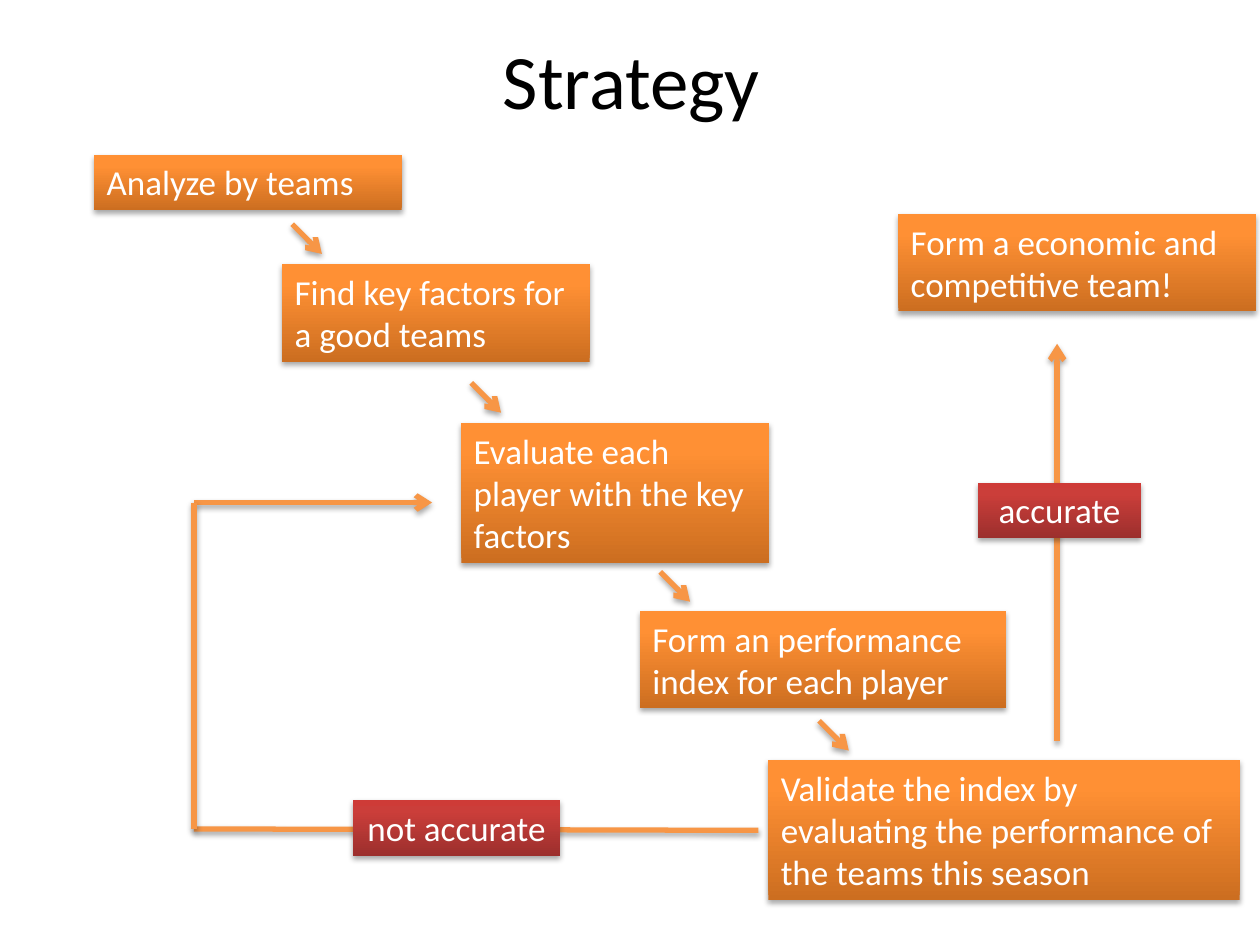
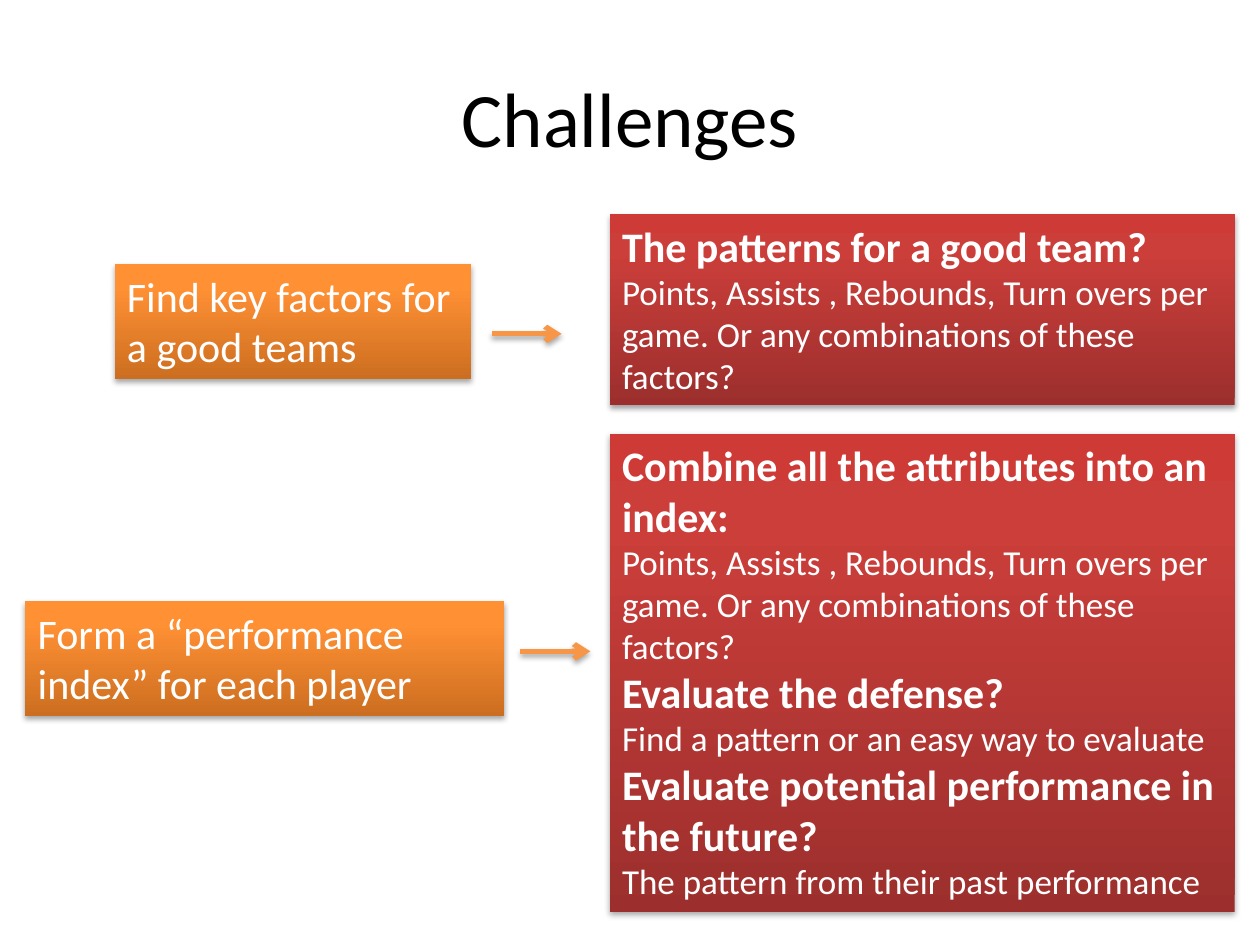
"""Build the two flow slides on strategy and challenges."""
from copy import deepcopy

from lxml import etree
from pptx import Presentation
from pptx.dml.color import RGBColor
from pptx.enum.shapes import MSO_CONNECTOR, MSO_SHAPE
from pptx.enum.text import MSO_ANCHOR, MSO_AUTO_SIZE, PP_ALIGN
from pptx.oxml.ns import qn
from pptx.util import Cm, Pt

RECTANGLE = MSO_SHAPE.RECTANGLE
STRAIGHT = MSO_CONNECTOR.STRAIGHT
TOP, MIDDLE = MSO_ANCHOR.TOP, MSO_ANCHOR.MIDDLE
FIT_SHAPE = MSO_AUTO_SIZE.SHAPE_TO_FIT_TEXT
LEFT, CENTER = PP_ALIGN.LEFT, PP_ALIGN.CENTER

FONT = "Calibri"
BLACK, WHITE, LINE = "000000", "FFFFFF", "F79646"
ORANGE = ("CC6E20", "FF9034", "FF9136")
RED = ("9C2F2D", "CB3E3A", "CE3B37")
STOP_POSITIONS = (0, 0.8, 1)
TITLE_ONLY = 5
SMALL, LARGE = 20, 24
ONE_LINE, TWO_LINES, THREE_LINES = 1.12, 1.96, 2.82


def color(value):
    return RGBColor.from_string(value)


class Deck:
    def __init__(self):
        self.presentation = Presentation()
        self.presentation.slide_width = Cm(25.4)
        self.presentation.slide_height = Cm(19.05)
        self.slide = None

    def add_slide(self, title, left, top):
        layout = self.presentation.slide_layouts[TITLE_ONLY]
        self.slide = self.presentation.slides.add_slide(layout)
        shape = self.slide.shapes.title
        shape.left, shape.top = Cm(left), Cm(top)
        shape.width, shape.height = Cm(22.86), Cm(3.18)
        shape.text_frame.vertical_anchor = MIDDLE
        self.set_text(shape.text_frame.paragraphs[0], title, 44, BLACK, CENTER)

    def set_text(self, paragraph, text, size, text_color=WHITE, alignment=LEFT, bold=False):
        paragraph.text = text
        paragraph.alignment = alignment
        font = paragraph.font
        font.name, font.size, font.bold = FONT, Pt(size), bold
        font.color.rgb = color(text_color)

    def add_shadow(self, shape):
        effects = etree.SubElement(shape._element.spPr, qn("a:effectLst"))
        shadow = etree.SubElement(effects, qn("a:outerShdw"), blurRad="40000",
                                  dist="23000", dir="5400000", rotWithShape="0")
        shade = etree.SubElement(shadow, qn("a:srgbClr"), val=BLACK)
        etree.SubElement(shade, qn("a:alpha"), val="35000")

    def fill_gradient(self, shape, colors):
        shape.fill.gradient()
        shape.fill.gradient_angle = 90
        stop_list = shape._element.spPr.find(".//" + qn("a:gsLst"))
        stop_list.append(deepcopy(stop_list[-1]))
        for stop, position, value in zip(shape.fill.gradient_stops, STOP_POSITIONS, colors):
            stop.position = position
            stop.color.rgb = color(value)

    def add_box(self, left, top, width, height, lines, colors=ORANGE, alignment=LEFT):
        shape = self.slide.shapes.add_shape(RECTANGLE, Cm(left), Cm(top), Cm(width), Cm(height))
        self.fill_gradient(shape, colors)
        shape.line.fill.background()
        self.add_shadow(shape)
        frame = shape.text_frame
        frame.word_wrap = True
        frame.auto_size = FIT_SHAPE
        frame.vertical_anchor = TOP
        for index, (text, size, bold) in enumerate(lines):
            paragraph = frame.add_paragraph() if index else frame.paragraphs[0]
            self.set_text(paragraph, text, size, alignment=alignment, bold=bold)

    def add_line(self, start_x, start_y, end_x, end_y, arrow=True):
        connector = self.slide.shapes.add_connector(
            STRAIGHT, Cm(start_x), Cm(start_y), Cm(end_x), Cm(end_y))
        connector.line.color.rgb = color(LINE)
        connector.line.width = Pt(3)
        if arrow:
            outline = connector._element.spPr.find(qn("a:ln"))
            etree.SubElement(outline, qn("a:tailEnd"), type="arrow")
        self.add_shadow(connector)


def build_strategy(deck):
    deck.add_slide("Strategy", 1.3, 0)
    steps = [
        (1.9, 3.12, 6.2, ONE_LINE, "Analyze by teams"),
        (5.69, 5.33, 6.2, TWO_LINES, "Find key factors for a good teams"),
        (9.3, 8.53, 6.2, THREE_LINES, "Evaluate each player with the key factors"),
        (12.9, 12.32, 7.39, TWO_LINES, "Form an performance index for each player"),
        (15.49, 15.32, 9.5, THREE_LINES,
         "Validate the index by evaluating the performance of the teams this season"),
        (18.11, 4.32, 7.21, TWO_LINES, "Form a economic and competitive team!"),
    ]
    for *place, text in steps:
        deck.add_box(*place, [(text, SMALL, False)])
    for left, top in [(5.89, 4.52), (9.5, 7.72), (13.31, 11.53), (16.51, 14.53)]:
        deck.add_line(left, top, left + 0.6, top + 0.6)

    loop_left, loop_top, loop_bottom = 3.91, 10.13, 16.71
    deck.add_line(15.29, 16.74, loop_left, loop_bottom, arrow=False)
    deck.add_line(loop_left, loop_top, 8.71, loop_top)
    deck.add_line(loop_left, loop_top, loop_left, loop_bottom, arrow=False)
    deck.add_line(21.31, 14.94, 21.31, 6.93)
    for left, top, width, text in [(7.11, 16.13, 4.19, "not accurate"),
                                   (19.71, 9.73, 3.3, "accurate")]:
        deck.add_box(left, top, width, ONE_LINE, [(text, SMALL, False)], RED, CENTER)


def build_challenges(deck):
    deck.add_slide("Challenges", 1.27, 0.76)
    factors = ("Points, Assists , Rebounds, Turn overs per game. "
               "Or any combinations of these factors?")
    tasks = [
        (2.31, 5.33, 7.19, "Find key factors for a good teams"),
        (0.51, 12.12, 9.65, "Form a “performance index” for each player"),
    ]
    for left, top, width, text in tasks:
        deck.add_box(left, top, width, 2.31, [(text, LARGE, False)])
    for left, top in [(9.91, 6.73), (10.49, 13.13)]:
        deck.add_line(left, top, left + 1.41, top)
    questions = [
        (4.32, 3.84, [("The patterns for a good team?", factors)]),
        (8.74, 9.65, [
            ("Combine all the attributes into an index:", factors),
            ("Evaluate the defense?", "Find a pattern or an easy way to evaluate"),
            ("Evaluate potential performance in the future?",
             "The pattern from their past performance"),
        ]),
    ]
    for top, height, pairs in questions:
        lines = []
        for heading, detail in pairs:
            lines += [(heading, LARGE, True), (detail, SMALL, False)]
        deck.add_box(12.29, top, 12.6, height, lines, RED)


def main():
    deck = Deck()
    build_strategy(deck)
    build_challenges(deck)
    deck.presentation.save("out.pptx")


if __name__ == "__main__":
    main()
